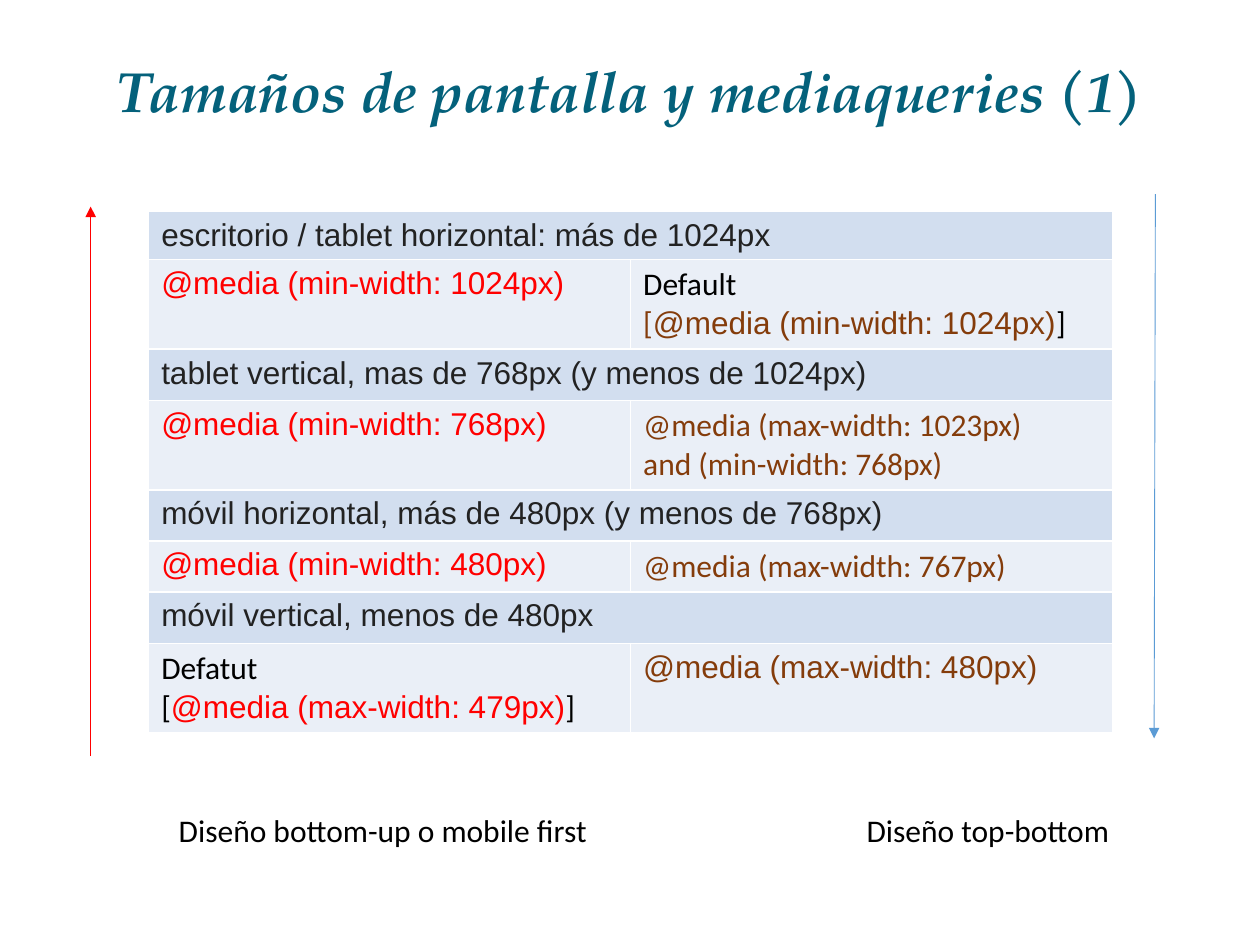
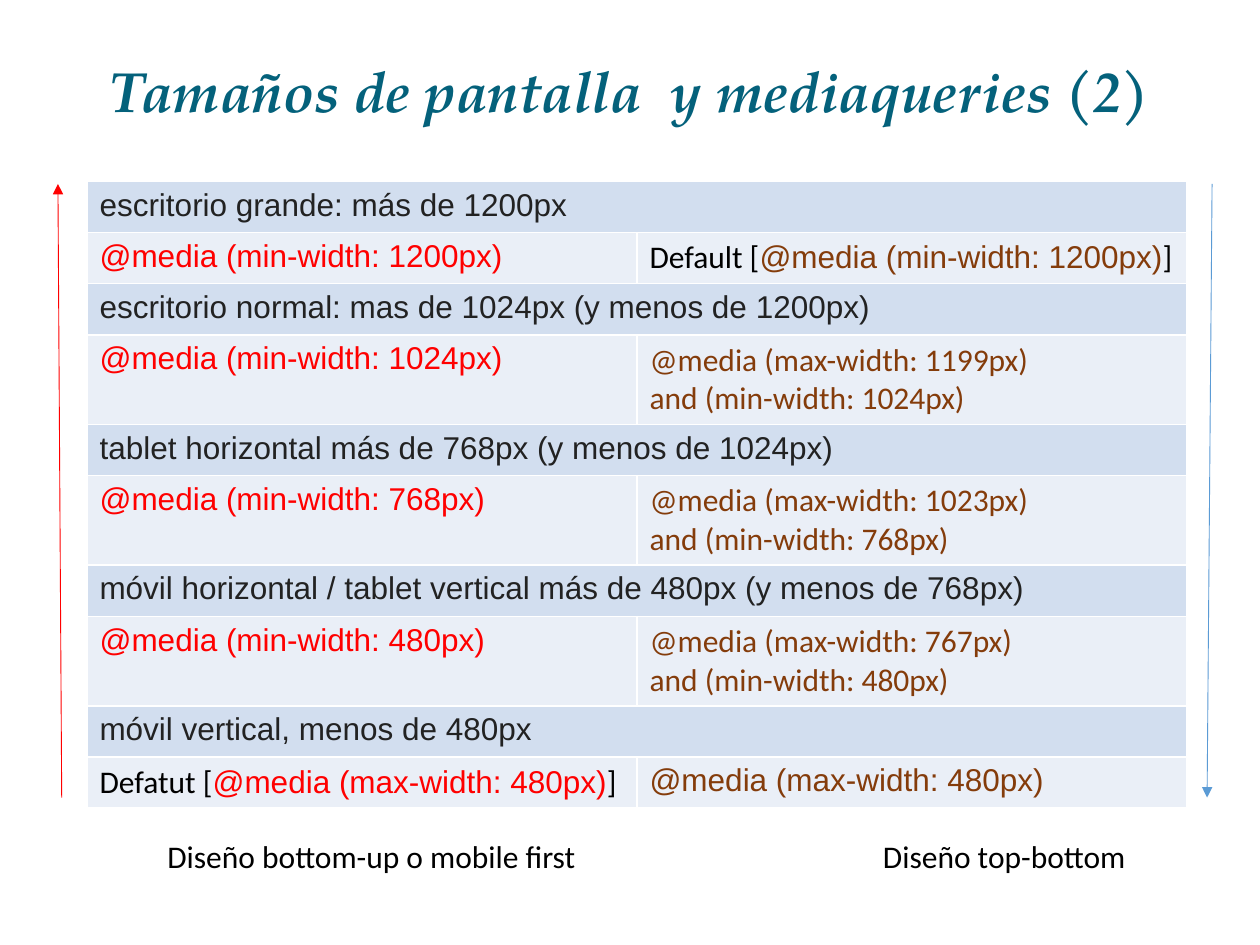
from collections import namedtuple

from lxml.etree import SubElement
from pptx import Presentation
from pptx.dml.color import RGBColor
from pptx.enum.shapes import MSO_CONNECTOR as Connector
from pptx.enum.text import MSO_ANCHOR as Anchor, MSO_AUTO_SIZE as AutoSize, PP_ALIGN as Align
from pptx.oxml.ns import qn
from pptx.util import Inches, Pt

Style = namedtuple("Style", "font color")
Box = namedtuple("Box", "left top width height")
Arrow = namedtuple("Arrow", "start end")

COLUMNS, ROWS = 100, 75
SLIDE_WIDTH, SLIDE_HEIGHT = Inches(10), Inches(7.5)
SINGLE_ROW, DOUBLE_ROW = 4.06, 7.1
TITLE_BOX = Box(6.9, 4, 86.2, 7)

TITLE_COLOR, BORDER = "04617B", "FFFFFF"
HEADING_FILL, QUERY_FILL = "D2DEEF", "EAEFF7"
UP_COLOR, DOWN_COLOR = "FF0000", "5B9BD5"

HEADING = Style("Arial", "222222")
NOTE = Style("Calibri", "000000")
UP = Style("Arial", UP_COLOR)
DOWN = Style("Arial", "843C0B")
DOWN_RANGE = Style("Calibri", "843C0B")


def columns(count):
    return round(SLIDE_WIDTH * count / COLUMNS)


def rows(count):
    return round(SLIDE_HEIGHT * count / ROWS)


def place(box):
    return columns(box.left), rows(box.top), columns(box.width), rows(box.height)


def rgb(color):
    return RGBColor.from_string(color)


def set_font(font, style, size=18):
    font.name, font.size = style.font, Pt(size)
    font.color.rgb = rgb(style.color)


def up_query(pixels):
    return [(f"@media (min-width: {pixels}px)", UP)]


def down_query(pixels):
    return [(f"@media (max-width: {pixels}px)", DOWN)]


def down_range(maximum, minimum):
    return [(f"@media (max-width: {maximum}px)\nand (min-width: {minimum}px)", DOWN_RANGE)]


def default_query(label, opening, query, style):
    return [(label, NOTE), opening, (query, style), ("]", NOTE)]


def write_pieces(text_frame, pieces):
    paragraph = text_frame.paragraphs[0]
    for text, style in pieces:
        for line_number, line in enumerate(text.split("\n")):
            if line_number:
                paragraph = text_frame.add_paragraph()
            for part_number, part in enumerate(line.split("\v")):
                if part_number:
                    paragraph.add_line_break()
                if part:
                    run = paragraph.add_run()
                    run.text = part
                    set_font(run.font, style)


def format_cell(cell, fill):
    properties = cell._tc.get_or_add_tcPr()
    for side in ("a:lnL", "a:lnR", "a:lnT", "a:lnB"):
        line = SubElement(properties, qn(side), w=str(Pt(1)))
        SubElement(SubElement(line, qn("a:solidFill")), qn("a:srgbClr"), val=BORDER)
    cell.fill.solid()
    cell.fill.fore_color.rgb = rgb(fill)


def place_title(slide, text):
    title = slide.shapes.title
    title.left, title.top, title.width, title.height = place(TITLE_BOX)
    text_frame = title.text_frame
    text_frame.text = text
    text_frame.auto_size = AutoSize.NONE
    text_frame.vertical_anchor = Anchor.MIDDLE
    paragraph = text_frame.paragraphs[0]
    paragraph.alignment, paragraph.line_spacing = Align.CENTER, 0.9
    font = paragraph.runs[0].font
    set_font(font, Style("TeX Gyre Pagella", TITLE_COLOR), 32.4)
    font.bold = font.italic = True


def place_table(slide, box, screens, first_height):
    frame = slide.shapes.add_table(2 * len(screens), 2, *place(box))
    table = frame.table
    table.first_row = table.horz_banding = False
    for index, (heading, *queries) in enumerate(screens):
        heading_row, query_row = 2 * index, 2 * index + 1
        table.cell(heading_row, 0).merge(table.cell(heading_row, 1))
        write_pieces(table.cell(heading_row, 0).text_frame, [(heading, HEADING)])
        for column, pieces in enumerate(queries):
            write_pieces(table.cell(query_row, column).text_frame, pieces)
            format_cell(table.cell(heading_row, column), HEADING_FILL)
            format_cell(table.cell(query_row, column), QUERY_FILL)
        tall = any("\n" in text or "\v" in text for pieces in queries for text, _ in pieces)
        table.rows[heading_row].height = rows(SINGLE_ROW if index else first_height)
        table.rows[query_row].height = rows(DOUBLE_ROW if tall else SINGLE_ROW)


def place_arrow(slide, box, arrow, color):
    ends = [
        length
        for x, y in (arrow.start, arrow.end)
        for length in (columns(box.left + x), rows(box.top + y))
    ]
    connector = slide.shapes.add_connector(Connector.STRAIGHT, *ends)
    connector.line.width = Pt(0.5)
    connector.line.color.rgb = rgb(color)
    SubElement(connector.line._get_or_add_ln(), qn("a:tailEnd"), type="triangle")
    SubElement(connector._element.spPr, qn("a:effectLst"))


def place_caption(slide, box, text):
    text_frame = slide.shapes.add_textbox(*place(box)).text_frame
    text_frame.word_wrap = False
    text_frame.auto_size = AutoSize.SHAPE_TO_FIT_TEXT
    text_frame.text = text
    set_font(text_frame.paragraphs[0].runs[0].font, NOTE)


def build_slide(presentation, title, box, screens, first_height, arrows, captions):
    slide = presentation.slides.add_slide(presentation.slide_layouts[5])
    place_title(slide, title)
    place_table(slide, box, screens, first_height)
    for arrow, color in zip(arrows, (UP_COLOR, DOWN_COLOR)):
        place_arrow(slide, box, arrow, color)
    up_left, down_left, top = captions
    place_caption(slide, Box(up_left, top, 34.9, 4), "Diseño bottom-up o mobile first")
    place_caption(slide, Box(down_left, top, 22.3, 4), "Diseño top-bottom")


BASIC_SCREENS = [
    (
        "escritorio / tablet horizontal: más de 1024px",
        up_query(1024),
        default_query("Default\v", ("[", DOWN_RANGE), "@media (min-width: 1024px)", DOWN),
    ),
    (
        "tablet vertical, mas de 768px (y menos de 1024px)",
        up_query(768),
        down_range(1023, 768),
    ),
    (
        "móvil horizontal, más de 480px (y menos de 768px)",
        up_query(480),
        [("@media (max-width: 767px)", DOWN_RANGE)],
    ),
    (
        "móvil vertical, menos de 480px",
        default_query("Defatut\v", ("[", NOTE), "@media (max-width: 479px)", UP),
        down_query(480),
    ),
]

DETAILED_SCREENS = [
    (
        "escritorio grande: más de 1200px",
        up_query(1200),
        default_query("Default ", ("[", NOTE), "@media (min-width: 1200px)", DOWN),
    ),
    (
        "escritorio normal: mas de 1024px (y menos de 1200px)",
        up_query(1024),
        down_range(1199, 1024),
    ),
    (
        "tablet horizontal más de 768px (y menos de 1024px)",
        up_query(768),
        down_range(1023, 768),
    ),
    (
        "móvil horizontal / tablet vertical más de 480px (y menos de 768px)",
        up_query(480),
        down_range(767, 480),
    ),
    (
        "móvil vertical, menos de 480px",
        default_query("Defatut ", ("[", NOTE), "@media (max-width: 480px)", UP),
        down_query(480),
    ),
]


def main():
    presentation = Presentation()
    presentation.slide_width, presentation.slide_height = SLIDE_WIDTH, SLIDE_HEIGHT
    build_slide(
        presentation,
        "Tamaños de pantalla y mediaqueries (1)",
        Box(11.8, 16.8, 76.5, 41.2),
        BASIC_SCREENS,
        3.75,
        [Arrow((-4.6, 43.2), (-4.6, -0.4)), Arrow((79.9, -1.4), (79.8, 41.8))],
        (13.2, 67.8, 63.9),
    )
    build_slide(
        presentation,
        "Tamaños de pantalla  y mediaqueries (2)",
        Box(6.9, 14.4, 87.3, 49.4),
        DETAILED_SCREENS,
        SINGLE_ROW,
        [Arrow((-2, 48.9), (-2.3, 0.2)), Arrow((89.3, 0.2), (88.9, 48.9))],
        (12.3, 69.1, 65.9),
    )
    presentation.save("out.pptx")


if __name__ == "__main__":
    main()
